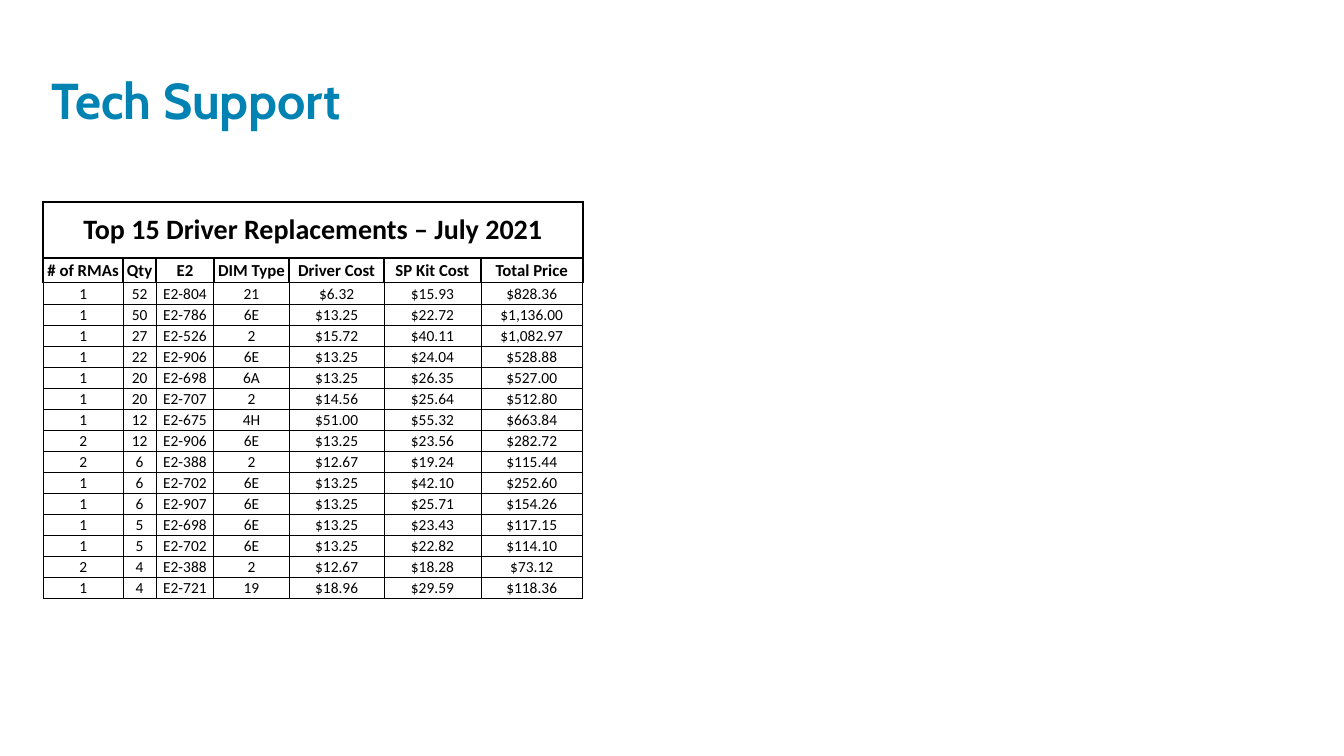
from dataclasses import dataclass

from lxml.etree import SubElement
from pptx import Presentation
from pptx.dml.color import RGBColor
from pptx.enum.text import MSO_ANCHOR, PP_ALIGN
from pptx.oxml.ns import qn
from pptx.util import Inches, Pt


@dataclass(frozen=True)
class Theme:
    title_color: str = "0083B3"
    ink: str = "000000"
    title_font: str = "Cabin"
    table_font: str = "Calibri"
    title_size: int = 36
    caption_size: int = 20
    header_size: int = 12
    body_size: int = 11
    thick: float = 1.5
    thin: float = 0.5


theme = Theme()

CAPTION = "Top 15 Driver Replacements – July 2021"
HEADERS = ["# of RMAs", "Qty", "E2", "DIM Type", "Driver Cost", "SP Kit Cost", "Total Price"]
COLUMN_WIDTHS = [0.79, 0.33, 0.57, 0.75, 0.94, 0.96, 1.01]
# RMAs, quantity, E2 number, DIM type, driver cost, kit cost
REPLACEMENTS = [
    (1, 52, "E2-804", "21", 6.32, 15.93),
    (1, 50, "E2-786", "6E", 13.25, 22.72),
    (1, 27, "E2-526", "2", 15.72, 40.11),
    (1, 22, "E2-906", "6E", 13.25, 24.04),
    (1, 20, "E2-698", "6A", 13.25, 26.35),
    (1, 20, "E2-707", "2", 14.56, 25.64),
    (1, 12, "E2-675", "4H", 51.00, 55.32),
    (2, 12, "E2-906", "6E", 13.25, 23.56),
    (2, 6, "E2-388", "2", 12.67, 19.24),
    (1, 6, "E2-702", "6E", 13.25, 42.10),
    (1, 6, "E2-907", "6E", 13.25, 25.71),
    (1, 5, "E2-698", "6E", 13.25, 23.43),
    (1, 5, "E2-702", "6E", 13.25, 22.82),
    (2, 4, "E2-388", "2", 12.67, 18.28),
    (1, 4, "E2-721", "19", 18.96, 29.59),
]


def write(paragraph, text, font, size, color, bold):
    run = paragraph.add_run()
    run.text = text
    run.font.color.rgb = RGBColor.from_string(color)
    for name, value in {"name": font, "size": Pt(size), "bold": bold}.items():
        setattr(run.font, name, value)


def set_borders(cell, widths):
    """Draw the cell's borders; widths are points for left, right, top, bottom."""
    properties = cell._tc.get_or_add_tcPr()
    for side, width in zip("LRTB", widths):
        line = SubElement(properties, qn(f"a:ln{side}"), w=str(Pt(width)))
        fill = SubElement(line, qn("a:solidFill"))
        SubElement(fill, qn("a:srgbClr"), val=theme.ink)


presentation = Presentation()
presentation.slide_width = Inches(13.33)
presentation.slide_height = Inches(7.5)
slide = presentation.slides.add_slide(presentation.slide_layouts[6])

# Title
title = slide.shapes.add_textbox(Inches(0.41), Inches(0.33), Inches(9.5), Inches(1))
title.text_frame.word_wrap = True
title.text_frame.vertical_anchor = MSO_ANCHOR.BOTTOM
title_paragraph = title.text_frame.paragraphs[0]
title_paragraph.line_spacing = 0.8
write(title_paragraph, "Tech Support", theme.title_font, theme.title_size,
      theme.title_color, True)

# Table contents: the total is quantity times kit cost
rows = [[CAPTION] + [""] * (len(HEADERS) - 1), HEADERS]
for rmas, quantity, number, dim_type, driver_cost, kit_cost in REPLACEMENTS:
    prices = [f"${price:,.2f}" for price in (driver_cost, kit_cost, quantity * kit_cost)]
    rows.append([str(rmas), str(quantity), number, dim_type] + prices)

# Table grid: the rows below the first three share the remaining height
table_height = 3.94
top_heights = [0.56, 0.24, 0.22]
other_count = len(rows) - len(top_heights)
other_height = (table_height - sum(top_heights)) / other_count
row_heights = top_heights + [other_height] * other_count

table = slide.shapes.add_table(
    len(rows), len(HEADERS), Inches(0.43), Inches(2),
    Inches(sum(COLUMN_WIDTHS)), Inches(table_height)).table
table.first_row = False
table.horz_banding = False
for column, width in zip(table.columns, COLUMN_WIDTHS):
    column.width = Inches(width)
for row, height in zip(table.rows, row_heights):
    row.height = Inches(height)
table.cell(0, 0).merge(table.cell(0, len(HEADERS) - 1))

# Size, bold and border widths of each kind of row
caption_style = (theme.caption_size, True, [theme.thick] * 4)
header_style = (theme.header_size, True, [theme.thick] * 3 + [theme.thin])
body_style = (theme.body_size, False, [theme.thin] * 4)
row_styles = [caption_style, header_style] + [body_style] * len(REPLACEMENTS)

cell_format = {
    "margin_left": Inches(0.01),
    "margin_right": Inches(0.01),
    "margin_top": Inches(0.01),
    "margin_bottom": 0,
    "vertical_anchor": MSO_ANCHOR.MIDDLE,
}
for row, texts, (size, bold, widths) in zip(table.rows, rows, row_styles):
    for cell, text in zip(row.cells, texts):
        for name, value in cell_format.items():
            setattr(cell, name, value)
        set_borders(cell, widths)
        cell.fill.background()
        if text:
            paragraph = cell.text_frame.paragraphs[0]
            paragraph.alignment = PP_ALIGN.CENTER
            write(paragraph, text, theme.table_font, size, theme.ink, bold)

presentation.save("out.pptx")
